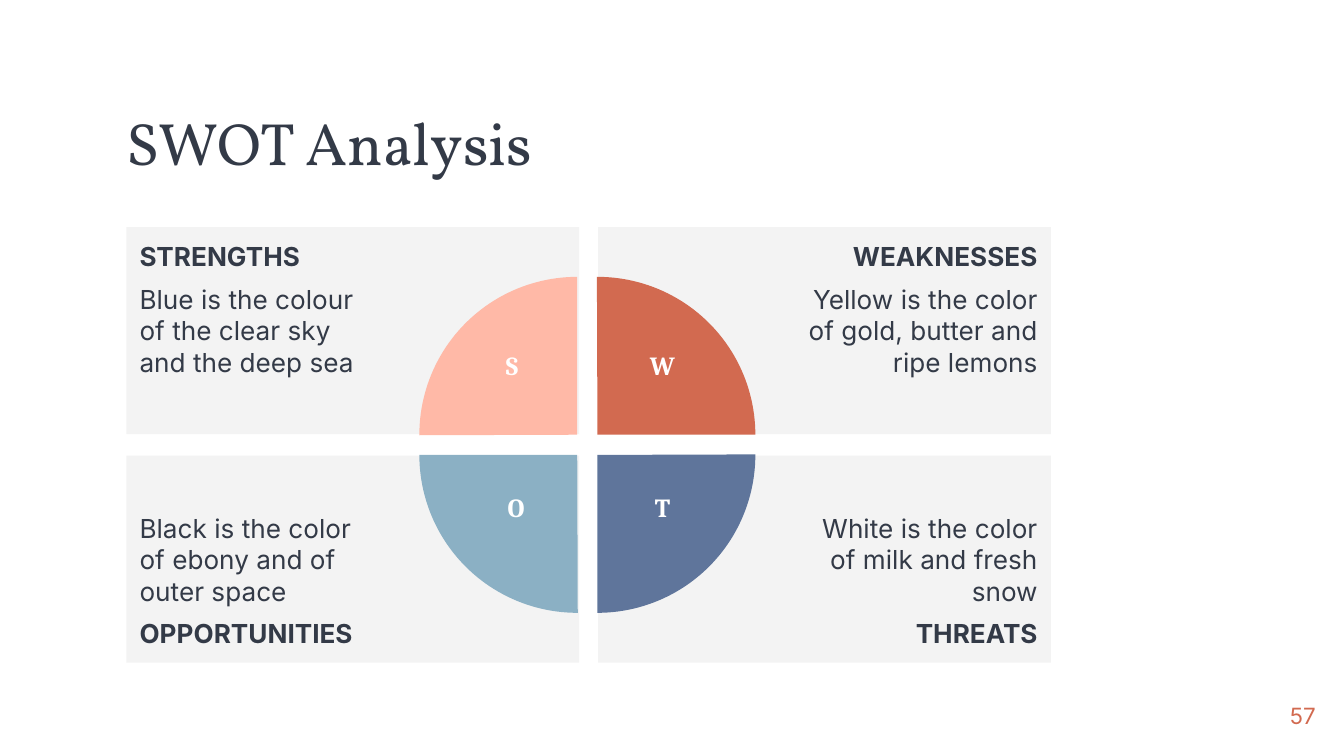
from pptx import Presentation
from pptx.dml.color import RGBColor
from pptx.enum.shapes import MSO_SHAPE as Shape
from pptx.enum.text import MSO_ANCHOR as Anchor, MSO_AUTO_SIZE as AutoSize, PP_ALIGN as Align
from pptx.util import Inches, Pt

INK, PANEL, WHITE, ACCENT = "333A47", "F3F3F3", "FFFFFF", "D26A50"
PANEL_LEFT, PANEL_TOP, PANEL_WIDTH, PANEL_HEIGHT = 0.94, 1.69, 3.37, 1.54
COLUMN_STEP, ROW_STEP = 3.51, 1.7
PIE_LEFT, PIE_TOP, PIE_SIZE, PIE_GAP = 3.12, 2.06, 2.35, 0.15
LETTER_TOP, LETTER_STEP, LETTER_WIDTH = 2.55, 1.06, 0.6

# column, row, heading, description, letter, letter centre, colour, rotation
QUADRANTS = [
    (0, 0, "STRENGTHS", "Blue is the colour of the clear sky and the deep sea",
     "S", 3.81, "FFB9A7", 0),
    (1, 0, "WEAKNESSES", "Yellow is the color of gold, butter and ripe lemons",
     "W", 4.93, ACCENT, 90),
    (1, 1, "THREATS", "White is the color of milk and fresh snow",
     "T", 4.93, "5F759B", 180),
    (0, 1, "OPPORTUNITIES", "Black is the color of ebony and of outer space",
     "O", 3.84, "8BB0C4", 270),
]


def rgb(value):
    return RGBColor.from_string(value)


def inches(*lengths):
    return [Inches(length) for length in lengths]


def set_frame(frame, anchor, insets):
    """Anchor the text and set its left, top, right and bottom insets."""
    left, top, right, bottom = inches(*insets)
    values = {"word_wrap": True, "auto_size": AutoSize.NONE, "vertical_anchor": anchor,
              "margin_left": left, "margin_top": top,
              "margin_right": right, "margin_bottom": bottom}
    for name, value in values.items():
        setattr(frame, name, value)


def write(paragraph, text, font, size, color, align=Align.LEFT, bold=False):
    paragraph.alignment = align
    run = paragraph.add_run()
    run.text = text
    for name, value in {"name": font, "size": Pt(size), "bold": bold}.items():
        setattr(run.font, name, value)
    run.font.color.rgb = rgb(color)


def add_filled(slide, kind, box, color):
    shape = slide.shapes.add_shape(kind, *inches(*box))
    shape.shadow.inherit = False
    shape.fill.solid()
    shape.fill.fore_color.rgb = rgb(color)
    shape.line.fill.background()
    return shape


def add_label(slide, text, box, anchor, insets, *style):
    label = slide.shapes.add_textbox(*inches(*box))
    set_frame(label.text_frame, anchor, insets)
    write(label.text_frame.paragraphs[0], text, *style)


def add_title(slide, text):
    title = slide.shapes.title
    title.left, title.top, title.width, title.height = inches(0.94, 0.82, 4.98, 0.53)
    set_frame(title.text_frame, Anchor.MIDDLE, (0, 0, 0, 0))
    paragraph = title.text_frame.paragraphs[0]
    paragraph.line_spacing = 0.9
    write(paragraph, text, "Vollkorn", 32, INK)


def add_panel(slide, column, row, heading, description):
    """Add a panel whose heading lies on the outer edge, away from the circle."""
    box = (PANEL_LEFT + column * COLUMN_STEP, PANEL_TOP + row * ROW_STEP,
           PANEL_WIDTH, PANEL_HEIGHT)
    frame = add_filled(slide, Shape.RECTANGLE, box, PANEL).text_frame
    insets = (1.5, 0.1, 0.1, 0.1) if column else (0.1, 0.1, 1.5, 0.1)
    set_frame(frame, Anchor.BOTTOM if row else Anchor.TOP, insets)
    align = Align.RIGHT if column else Align.LEFT
    first, second = (description, heading) if row else (heading, description)
    write(frame.paragraphs[0], first, "Inter", 14, INK, align, first == heading)
    paragraph = frame.add_paragraph()
    paragraph.space_before = paragraph.space_after = Pt(6)
    write(paragraph, second, "Inter", 14, INK, align, second == heading)


def add_quarter(slide, column, row, color, rotation):
    box = (PIE_LEFT + column * PIE_GAP, PIE_TOP + row * PIE_GAP, PIE_SIZE, PIE_SIZE)
    quarter = add_filled(slide, Shape.PIE, box, color)
    quarter.adjustments[0], quarter.adjustments[1] = 107.89, 162
    quarter.rotation = rotation


def add_letter(slide, row, letter, center):
    box = (center - LETTER_WIDTH / 2, LETTER_TOP + row * LETTER_STEP, LETTER_WIDTH, 0.44)
    add_label(slide, letter, box, Anchor.TOP, (0.1, 0.05, 0.1, 0.05),
              "Cambria", 14, WHITE, Align.CENTER, True)


def main():
    deck = Presentation()
    deck.slide_width = Inches(10)
    deck.slide_height = deck.slide_width * 9 // 16
    slide = deck.slides.add_slide(deck.slide_layouts[5])
    add_title(slide, "SWOT Analysis")
    add_label(slide, "57", (9.19, 5.11, 0.6, 0.43), Anchor.MIDDLE, (0, 0, 0, 0),
              "Inter", 12, ACCENT, Align.RIGHT)
    for column, row, heading, description, *_ in QUADRANTS:
        add_panel(slide, column, row, heading, description)
    for column, row, _, _, _, _, color, rotation in QUADRANTS:
        add_quarter(slide, column, row, color, rotation)
    for _, row, _, _, letter, center, *_ in QUADRANTS:
        add_letter(slide, row, letter, center)
    deck.save("out.pptx")


if __name__ == "__main__":
    main()
